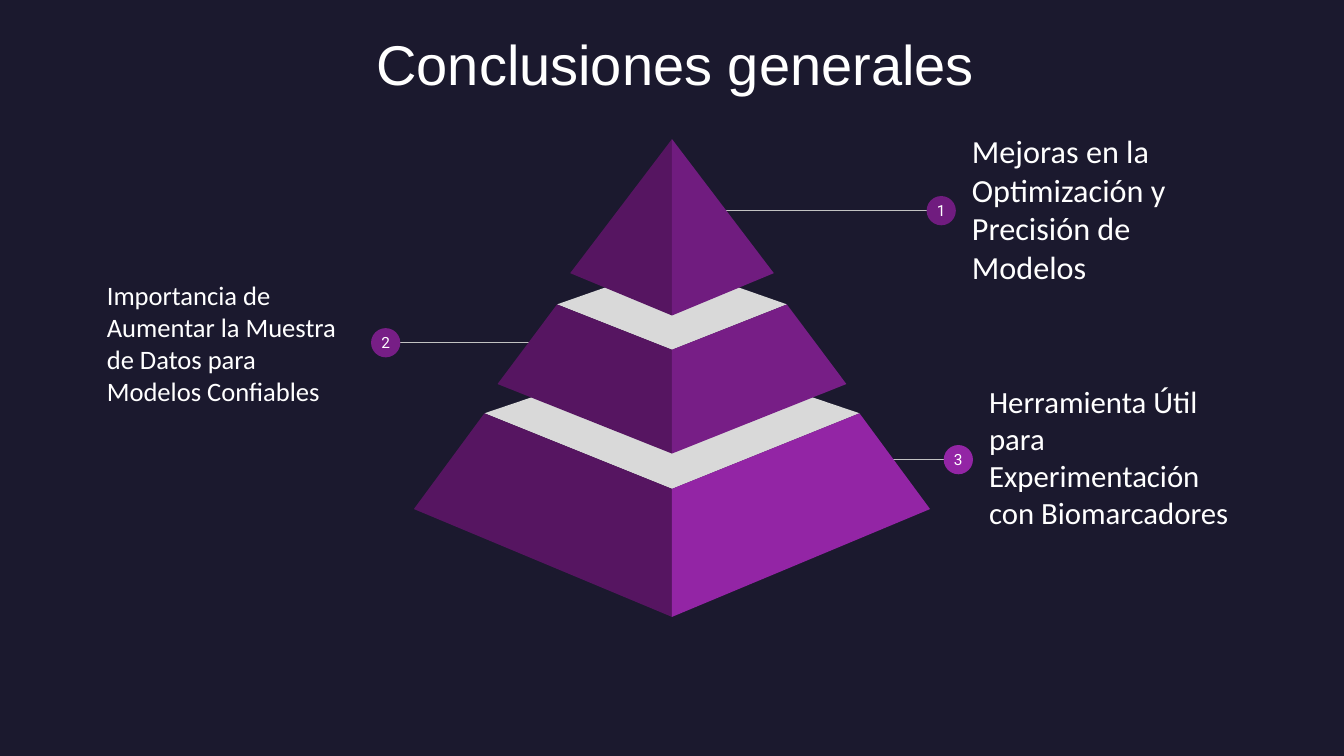
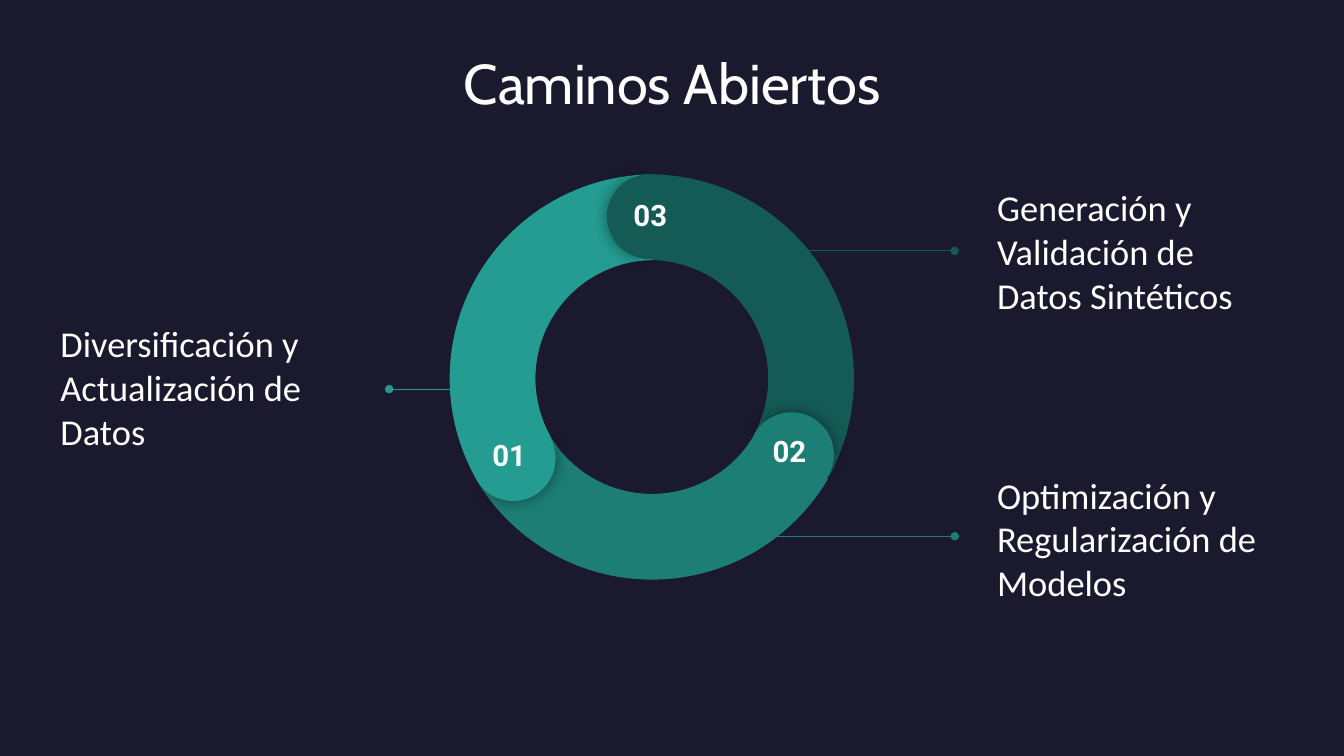
from dataclasses import dataclass

from lxml import etree
from pptx import Presentation
from pptx.dml.color import RGBColor
from pptx.enum.shapes import MSO_CONNECTOR, MSO_SHAPE
from pptx.enum.text import MSO_ANCHOR, MSO_AUTO_SIZE, PP_ALIGN
from pptx.oxml.ns import qn
from pptx.util import Inches, Pt

STRAIGHT = MSO_CONNECTOR.STRAIGHT
OVAL, ARC, PIE = MSO_SHAPE.OVAL, MSO_SHAPE.BLOCK_ARC, MSO_SHAPE.PIE
TOP, MIDDLE = MSO_ANCHOR.TOP, MSO_ANCHOR.MIDDLE
LEFT, CENTER = PP_ALIGN.LEFT, PP_ALIGN.CENTER
NO_AUTOFIT = MSO_AUTO_SIZE.NONE
TITLE_ONLY = 5


@dataclass(frozen=True)
class Theme:
    background: str = "1B192E"
    text: str = "FFFFFF"
    leader: str = "C2C2C2"
    lid: str = "D9D9D9"
    shade: str = "561561"
    tiers: tuple = ("701C7F", "771E86", "9325A5")
    ring: tuple = ("249C91", "1D7E75", "155B55")
    body_font: str = "Calibri"
    number_font: str = "Roboto"
    title_size: int = 40
    path_size: int = 26
    label_size: int = 21
    marker_size: int = 11
    inset: float = 0.13


THEME = Theme()


def rgb(color):
    return RGBColor.from_string(color)


def box_lengths(box):
    return [Inches(length) for length in box]


def write(frame, text, font, size, align=LEFT, anchor=MIDDLE, inset=0, bold=False):
    frame.word_wrap = True
    frame.auto_size = NO_AUTOFIT
    frame.vertical_anchor = anchor
    frame.margin_left = frame.margin_right = Inches(inset)
    frame.margin_top = frame.margin_bottom = Inches(inset)
    paragraph = frame.paragraphs[0]
    paragraph.text = text
    paragraph.alignment = align
    paragraph.font.name = font
    paragraph.font.size = Pt(size)
    paragraph.font.bold = bold
    paragraph.font.color.rgb = rgb(THEME.text)
    return paragraph


def paint(shape, color):
    shape.shadow.inherit = False
    shape.fill.solid()
    shape.fill.fore_color.rgb = rgb(color)
    shape.line.fill.background()
    return shape


def add_preset(slide, preset, box, color, rotation=0, adjustments=()):
    shape = paint(slide.shapes.add_shape(preset, *box_lengths(box)), color)
    shape.rotation = rotation % 360
    for index, value in enumerate(adjustments):
        shape.adjustments[index] = value
    return shape


def add_polygon(slide, points, color):
    corners = [(Inches(x), Inches(y)) for x, y in points]
    builder = slide.shapes.build_freeform(*corners[0])
    builder.add_line_segments(corners[1:], close=True)
    return paint(builder.convert_to_shape(), color)


def add_leader(slide, start_x, end_x, y, color, dotted=False):
    leader = slide.shapes.add_connector(
        STRAIGHT, Inches(start_x), Inches(y), Inches(end_x), Inches(y))
    leader.line.color.rgb = rgb(color)
    leader.line.width = Pt(0.75)
    properties = leader._element.spPr
    if dotted:
        line = properties.find(qn("a:ln"))
        etree.SubElement(line, qn("a:tailEnd"), type="oval")
    etree.SubElement(properties, qn("a:effectLst"))


def add_caption(slide, box, text, size):
    caption = slide.shapes.add_textbox(*box_lengths(box))
    write(caption.text_frame, text, THEME.body_font, size, inset=THEME.inset)


def add_glow(shape):
    effects = shape._element.spPr.find(qn("a:effectLst"))
    shadow = etree.SubElement(effects, qn("a:outerShdw"), blurRad=str(Pt(11.2)),
                              dist="0", algn="ctr", rotWithShape="0")
    color = etree.SubElement(shadow, qn("a:srgbClr"), val="000000")
    etree.SubElement(color, qn("a:alpha"), val="43000")


def add_titled_slide(deck, text, font, box, anchor, inset=0, spacing=1.0):
    slide = deck.slides.add_slide(deck.slide_layouts[TITLE_ONLY])
    title = slide.shapes.title
    title.left, title.top, title.width, title.height = box_lengths(box)
    paragraph = write(title.text_frame, text, font, THEME.title_size,
                      CENTER, anchor, inset)
    paragraph.line_spacing = spacing
    return slide


def add_pyramid(slide, box):
    left, top, width = box
    middle = left + width / 2
    tiers = [
        (2.56, 3.67, 4.74, 1.86, 2.72, 3.47, 2.09),
        (1.73, 2.43, 3.12, 1.14, 1.64, 2.09, 1.24),
        (1.01, 1.33, 1.75, 0, 0, 0, 0),
    ]
    for tier, color in zip(tiers, reversed(THEME.tiers)):
        base, base_y, bottom_y, shoulder, shoulder_y, front_y, back_y = tier
        if shoulder:
            lid = [(-shoulder, shoulder_y), (0, front_y),
                   (shoulder, shoulder_y), (0, back_y)]
            add_polygon(slide, [(middle + x, top + y) for x, y in lid], THEME.lid)
        face = [(shoulder, shoulder_y), (base, base_y), (0, bottom_y), (0, front_y)]
        for side, face_color in ((-1, THEME.shade), (1, color)):
            add_polygon(slide, [(middle + side * x, top + y) for x, y in face],
                        face_color)


def add_conclusion(slide, box, number, text, size, edge_x, line_y):
    left, top, width, height = box
    marker, gap = 0.29, 0.03
    on_right = left > edge_x
    marker_x = left - gap - marker if on_right else left + width + gap
    add_leader(slide, edge_x, marker_x if on_right else marker_x + marker,
               line_y, THEME.leader)
    add_caption(slide, box, text, size)
    badge = add_preset(slide, OVAL, (marker_x, line_y - marker / 2, marker, marker),
                       THEME.tiers[number - 1])
    write(badge.text_frame, str(number), THEME.number_font, THEME.marker_size, CENTER)


def add_ring(slide, box):
    left, top, size = box
    cap_size, cap_turn, slant = 0.84, 120, 0.65
    segments = [
        ("03", 60, (0, 0.03), (1.60, 0.03), (1.66, 0.13)),
        ("02", 180, (0.02, 0), (3.01, 2.39), (3.04, 2.47)),
        ("01", 300, (0.04, 0.03), (0.25, 2.43), (0.26, 2.51)),
    ]
    for (_, turn, (x, y), _, _), color in zip(segments, reversed(THEME.ring)):
        add_preset(slide, ARC, (left + x, top + y, size, size), color, turn,
                   (126.23, 197.4, 0.21))
    for (_, turn, _, (x, y), _), color in zip(segments, reversed(THEME.ring)):
        cap_box = (left + x, top + y, cap_size, cap_size)
        add_glow(add_preset(slide, PIE, cap_box, color, turn - cap_turn / 2 + slant,
                            (61.9, 149.96)))
        add_preset(slide, PIE, cap_box, color, turn + cap_turn, (40.28, 171.84))
    for number, _, _, _, (x, y) in segments:
        label = slide.shapes.add_textbox(
            *box_lengths((left + x, top + y, 0.74, 0.39)))
        write(label.text_frame, number, THEME.number_font, THEME.label_size,
              CENTER, TOP, THEME.inset, True)


def add_open_path(slide, box, text, color, edge_x, line_y):
    left, _, width, _ = box
    gap = 0.29
    end_x = left - gap if left > edge_x else left + width + gap
    add_caption(slide, box, text, THEME.path_size)
    add_leader(slide, edge_x, end_x, line_y, color, dotted=True)


def build_conclusions(deck):
    slide = add_titled_slide(deck, "Conclusiones generales", "Arial",
                             (0.16, 0.24, 13.07, 1.25), TOP, inset=0.05)
    conclusions = [
        (9.51, 1.06, "Mejoras en la Optimización y Precisión de Modelos", 23, 6.98, 2.09),
        (0.93, 2.39, "Importancia de Aumentar la Muestra de Datos para Modelos Confiables",
         19, 5.29, 3.4),
        (9.68, 3.52, "Herramienta Útil para Experimentación con Biomarcadores",
         22, 8.8, 4.56),
    ]
    for number, (left, top, *content) in enumerate(conclusions, 1):
        add_conclusion(slide, (left, top, 2.72, 2.02), number, *content)
    add_pyramid(slide, (4.1, 1.38, 5.13))


def build_open_paths(deck):
    slide = add_titled_slide(deck, "Caminos Abiertos", "Cabin",
                             (0, 0.12, 13.33, 1.48), MIDDLE, spacing=0.9)
    paths = [
        (0.47, 2.9, "Diversificación y Actualización de Datos", 4.78, 3.86),
        (9.76, 4.4, "Optimización y Regularización de Modelos", 7.6, 5.32),
        (9.76, 1.55, "Generación y Validación de Datos Sintéticos", 7.6, 2.49),
    ]
    for (left, top, text, edge_x, line_y), color in zip(paths, THEME.ring):
        add_open_path(slide, (left, top, 3.1, 1.88), text, color, edge_x, line_y)
    add_ring(slide, (4.42, 1.7, 4.05))


def main():
    deck = Presentation()
    deck.slide_width, deck.slide_height = Inches(13.33), Inches(7.5)
    backdrop = deck.slide_master.background.fill
    backdrop.solid()
    backdrop.fore_color.rgb = rgb(THEME.background)
    build_conclusions(deck)
    build_open_paths(deck)
    deck.save("out.pptx")


if __name__ == "__main__":
    main()
